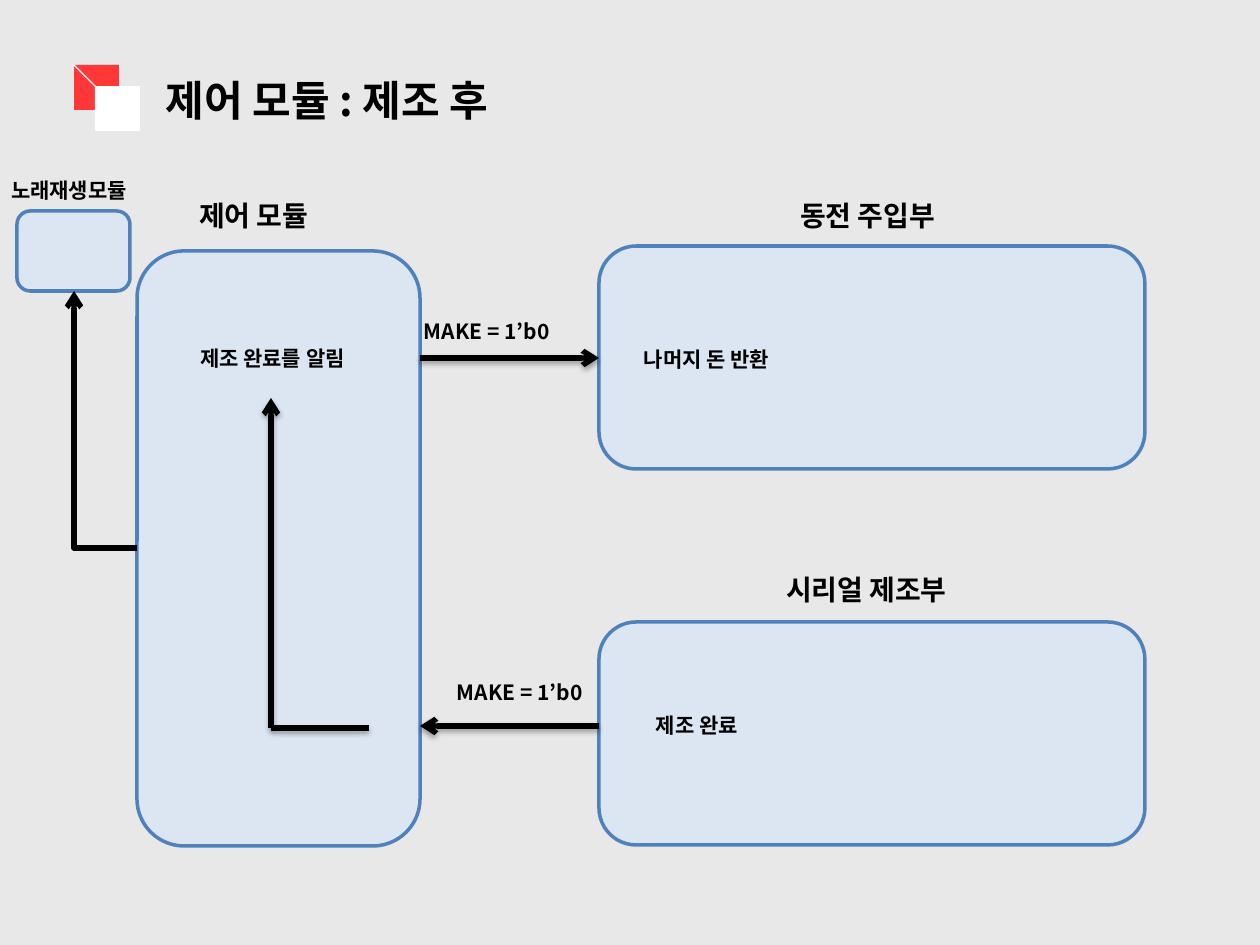
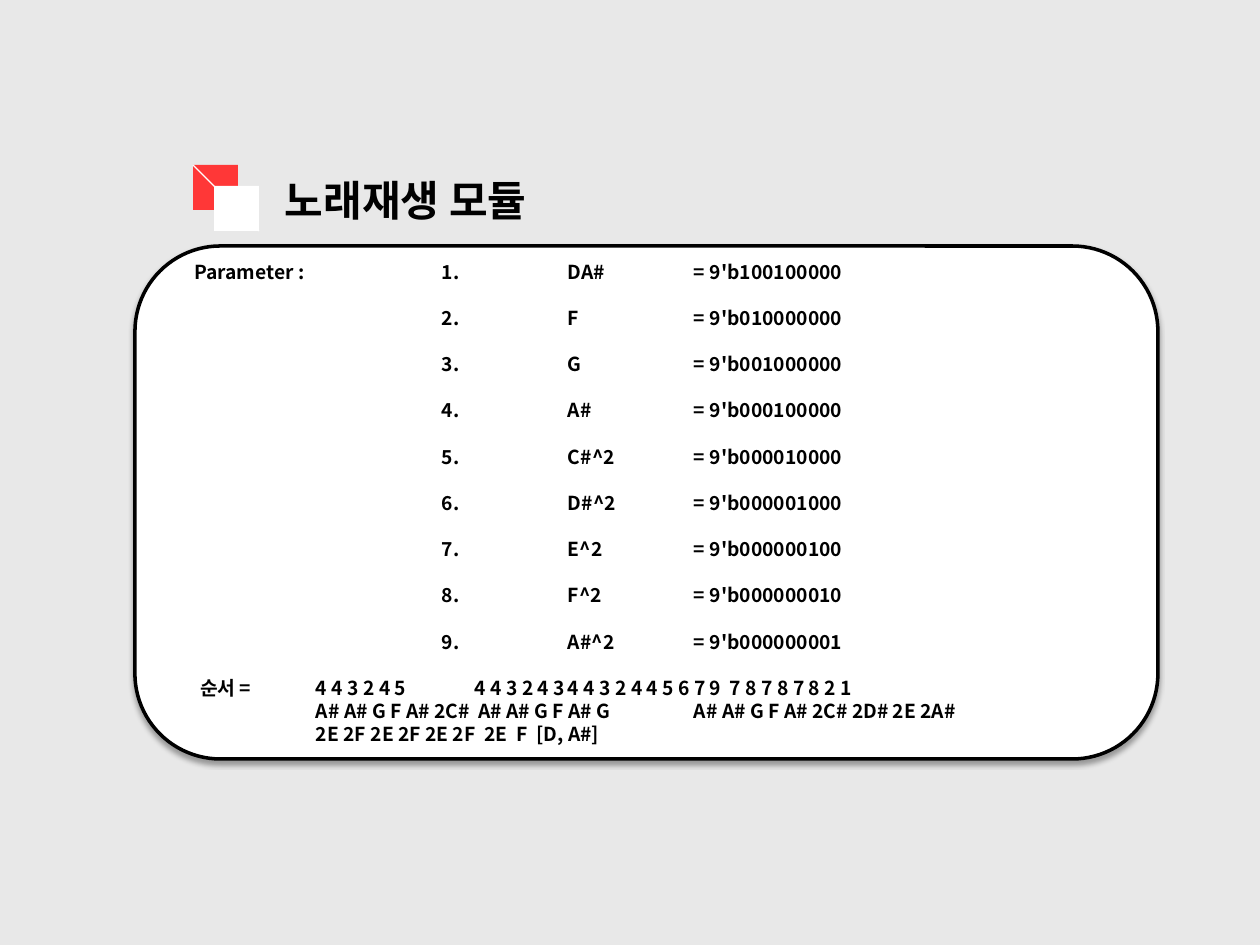
from lxml.etree import SubElement
from pptx import Presentation
from pptx.dml.color import RGBColor
from pptx.enum.shapes import MSO_CONNECTOR as LINE, MSO_SHAPE as SHAPE
from pptx.enum.text import MSO_ANCHOR as ANCHOR
from pptx.oxml.ns import qn
from pptx.util import Emu, Pt

PX = 914400 // 126
FONT = "Noto Sans CJK KR"
STYLE = {"name": FONT, "bold": True}
INSETS = dict.fromkeys(
    ("margin_left", "margin_right", "margin_top", "margin_bottom"), Emu(6 * PX))
BLACK = RGBColor(0x00, 0x00, 0x00)
WHITE = RGBColor(0xFF, 0xFF, 0xFF)
RED = RGBColor(0xFF, 0x37, 0x37)
GRAY = RGBColor(0xE8, 0xE8, 0xE8)
PALE = RGBColor(0xDC, 0xE6, 0xF2)
BLUE = RGBColor(0x4F, 0x81, 0xBD)


def add_text(s, box, lines, size, anchor=ANCHOR.MIDDLE):
    """Add a bold black text box, one paragraph a line, and return its frame."""
    tf = s.shapes.add_textbox(*(Emu(v * PX) for v in box)).text_frame
    for key, value in INSETS.items():
        setattr(tf, key, value)
    tf.word_wrap = True
    tf.vertical_anchor = anchor
    for i, line in enumerate(lines):
        p = tf.paragraphs[0] if i == 0 else tf.add_paragraph()
        r = p.add_run()
        r.text = line
        for key, value in STYLE.items():
            setattr(r.font, key, value)
        r.font.size = Pt(size)
        r.font.color.rgb = BLACK
        SubElement(r._r.get_or_add_rPr(), qn("a:ea"), typeface=FONT)
    return tf


def add_shadow(effects):
    """Put a soft downward shadow in an effect list."""
    shadow = SubElement(effects, qn("a:outerShdw"), blurRad="38100", dist="22860",
                        dir="5400000", rotWithShape="0")
    color = SubElement(shadow, qn("a:srgbClr"), val="000000")
    SubElement(color, qn("a:alpha"), val="35000")


prs = Presentation()
prs.slide_width, prs.slide_height = Emu(1260 * PX), Emu(945 * PX)
control, song = (prs.slides.add_slide(prs.slide_layouts[6]) for _ in range(2))

# Shapes: slide, preset, box, fill, outline, shadow
MODULE = SHAPE.FLOWCHART_ALTERNATE_PROCESS
shapes = [(control, MODULE, box, PALE, BLUE, False) for box in (
    (137, 251, 283, 595), (599, 246, 546, 223),
    (599, 622, 546, 223), (17, 211, 113, 80))]
shapes.append((song, SHAPE.ROUNDED_RECTANGLE, (135, 246, 1023, 513),
               WHITE, BLACK, True))

# Lines: slide, kind, from, to, colour, points, arrow end, shadow
STRAIGHT, ELBOW = LINE.STRAIGHT, LINE.ELBOW
lines = [
    (control, STRAIGHT, (420, 358), (599, 358), BLACK, 3, "tailEnd", True),
    (control, STRAIGHT, (599, 726), (420, 726), BLACK, 3, "tailEnd", True),
    (control, STRAIGHT, (271, 728), (271, 398), BLACK, 3, "tailEnd", True),
    (control, STRAIGHT, (271, 728), (369, 728), BLACK, 3, None, True),
    (control, ELBOW, (74, 291), (137, 548), BLACK, 3, "tailEnd", False),
]

# Background, title and title mark of each slide
for s, title, x, y in ((control, "제어 모듈 : 제조 후", 74, 65),
                       (song, "노래재생 모듈", 193, 165)):
    s.background.fill.solid()
    s.background.fill.fore_color.rgb = GRAY
    add_text(s, (x + 86, y + 3, 500, 63), [title], 24)
    for shift, color in ((0, RED), (21, WHITE)):
        shapes.append((s, SHAPE.RECTANGLE, (x + shift, y + shift, 45, 45),
                       color, None, False))
    lines.append((s, STRAIGHT, (x, y), (x + 66, y + 66), WHITE, 0.75, None, False))

for s, preset, box, fill, outline, shadow in shapes:
    sp = s.shapes.add_shape(preset, *(Emu(v * PX) for v in box))
    sp.fill.solid()
    sp.fill.fore_color.rgb = fill
    if outline is None:
        sp.line.fill.background()
    else:
        sp.line.color.rgb = outline
        sp.line.width = Pt(2)
    sp.shadow.inherit = False
    if shadow:
        add_shadow(sp._element.spPr.find(qn("a:effectLst")))

for s, kind, start, end, color, width, arrow, shadow in lines:
    c = s.shapes.add_connector(kind, *(Emu(v * PX) for v in start + end))
    c.line.color.rgb = color
    c.line.width = Pt(width)
    spPr = c._element.spPr
    if arrow:
        SubElement(c.line._get_or_add_ln(), qn("a:" + arrow), type="arrow")
    effects = SubElement(spPr, qn("a:effectLst"))
    if shadow:
        add_shadow(effects)
    if kind == ELBOW:  # one corner, turned to run left and then up
        spPr.find(qn("a:prstGeom")).set("prst", "bentConnector2")
        spPr.find(qn("a:xfrm")).set("rot", "10800000")

# Control module: headings and signals
for label, x, y, size in (
        ("제어 모듈", 193, 192, 16), ("동전 주입부", 794, 192, 16),
        ("시리얼 제조부", 780, 566, 16), ("노래재생모듈", 5, 171, 12),
        ("MAKE = 1’b0", 418, 312, 12), ("제조 완료를 알림", 194, 339, 12),
        ("나머지 돈 반환", 638, 340, 12), ("MAKE = 1’b0", 451, 673, 12),
        ("제조 완료", 650, 706, 12)):
    add_text(control, (x, y, 220, 47 if size == 16 else 38), [label], size)

# Song module: one bit for each note, then the order of play
notes = ["DA#", "F", "G", "A#", "C#^2", "D#^2", "E^2", "F^2", "A#^2"]
rows = [f"\t{i + 1}.\t{note}\t= 9'b{1 << (8 - i):09b}" for i, note in enumerate(notes)]
rows[0] = "Parameter :" + rows[0].replace("100000000", "100100000")
order = [
    "\t순서 =\t4 4 3 2 4 5\t4 4 3 2 4 3\t4 4 3 2 4 4 5 6 7 9  7 8 7 8 7 8 2 1",
    "\tA# A# G F A# 2C#  A# A# G F A# G\tA# A# G F A# 2C# 2D# 2E 2A#",
    "\t2E 2F 2E 2F 2E 2F  2E  F  [D, A#]",
]
stops = [(248, 374, 500)] * len(rows) + [(6, 122, 281, 374), (122, 500), (122,)]
tf = add_text(song, (188, 254, 940, 500), rows + order, 11, ANCHOR.TOP)
for i, (p, tabs) in enumerate(zip(tf.paragraphs, stops)):
    p.line_spacing = Pt(13.2)
    p.space_after = Pt(13.2 if i < len(rows) else 0)
    tab_list = SubElement(p._p.get_or_add_pPr(), qn("a:tabLst"))
    for tab in tabs:
        SubElement(tab_list, qn("a:tab"), pos=str(tab * PX), algn="l")

prs.save("out.pptx")
